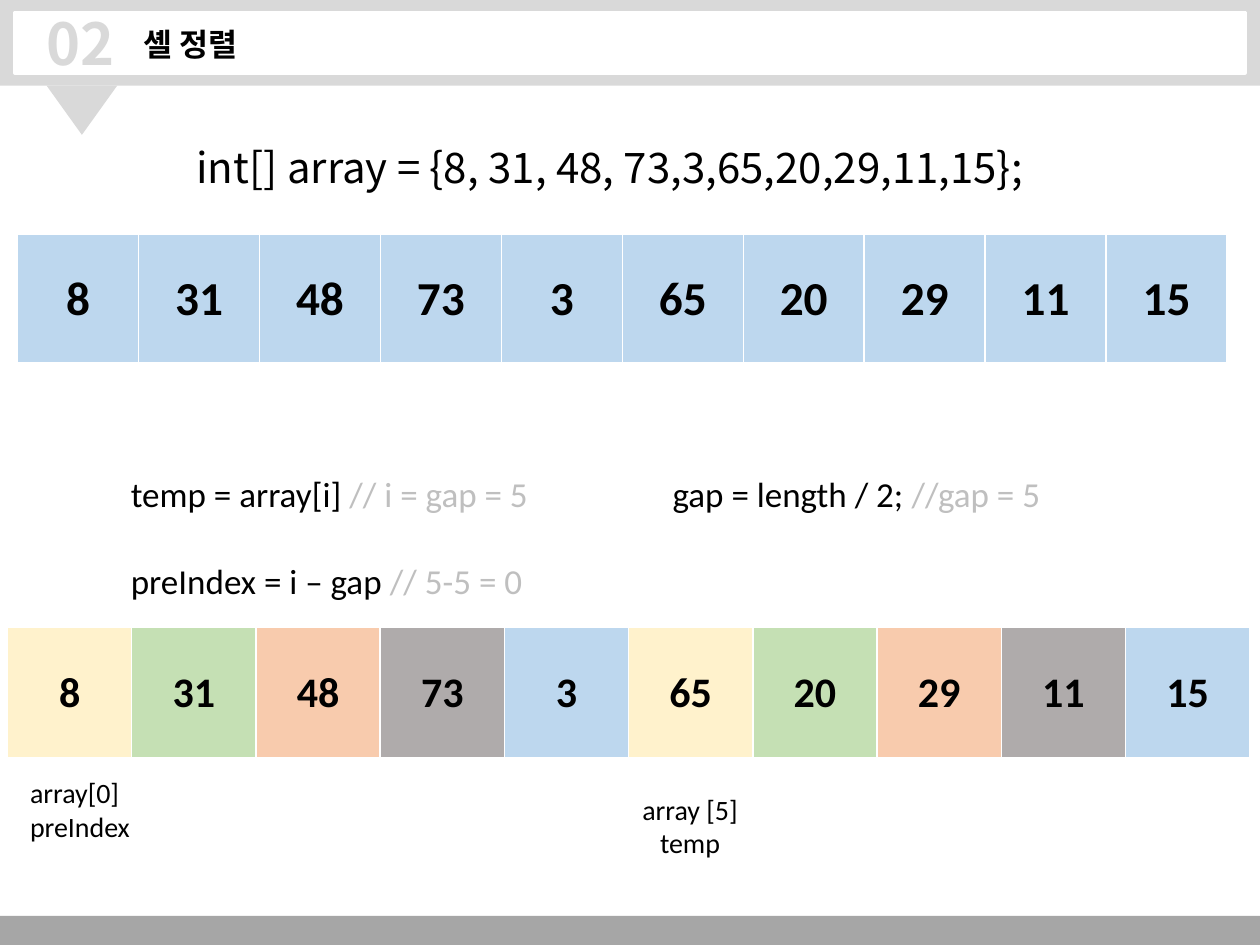
from lxml.etree import SubElement
from pptx import Presentation
from pptx.dml.color import RGBColor
from pptx.enum.shapes import MSO_SHAPE
from pptx.enum.text import MSO_ANCHOR, PP_ALIGN
from pptx.oxml.ns import qn
from pptx.util import Inches, Pt

COLS, ROWS = 100, 75
NOTO = "Noto Sans CJK KR"
BLUE = "BDD7EE"
GROUPS = ["FFF2CC", "C5E0B4", "F8CBAD", "AFABAB", BLUE]
NUMS = [8, 31, 48, 73, 3, 65, 20, 29, 11, 15]


def tint(code):
    return RGBColor.from_string(code)


def write(para, text, size=20, font="Calibri", color="000000", bold=False, align=None):
    if align is not None:
        para.alignment = align
    run = para.add_run()
    run.text = text
    run.font.size = Pt(size)
    run.font.name = font
    run.font.bold = bold
    run.font.color.rgb = tint(color)
    SubElement(run.font._element, qn("a:ea"), typeface=font)


class Deck:
    gray = "D9D9D9"
    note = "BFBFBF"
    white = "FFFFFF"

    def __init__(self):
        self.show = Presentation()
        self.show.slide_width = Inches(10)
        self.show.slide_height = Inches(7.5)
        self.page = self.show.slides.add_slide(self.show.slide_layouts[6])

    def area(self, col, row, wide, high):
        across = self.show.slide_width / COLS
        down = self.show.slide_height / ROWS
        return [round(n) for n in (col * across, row * down, wide * across, high * down)]

    def block(self, *spot, color=gray, kind=MSO_SHAPE.RECTANGLE, turn=0, line=None):
        shape = self.page.shapes.add_shape(kind, *self.area(*spot))
        shape.shadow.inherit = False
        shape.rotation = turn
        shape.fill.solid()
        shape.fill.fore_color.rgb = tint(color)
        if line:
            shape.line.color.rgb = tint(color)
            shape.line.width = Pt(line)
        else:
            shape.line.fill.background()

    def label(self, *spot, lines, wrap=True, **style):
        frame = self.page.shapes.add_textbox(*self.area(*spot)).text_frame
        frame.word_wrap = wrap
        for i, (text, align) in enumerate(lines):
            para = frame.add_paragraph() if i else frame.paragraphs[0]
            write(para, text, align=align, **style)
        return frame.paragraphs[0]

    def code(self, *spot, text, note):
        para = self.label(*spot, lines=[(text, None)])
        write(para, note, color=self.note)

    def edge(self, cell):
        props = cell._tc.get_or_add_tcPr()
        for side, width in zip("LRTB", (1, 1, 1, 3)):
            line = SubElement(props, qn(f"a:ln{side}"), w=str(Pt(width)))
            fill = SubElement(line, qn("a:solidFill"))
            SubElement(fill, qn("a:srgbClr"), val=self.white)

    def array(self, *spot, colors, size):
        table = self.page.shapes.add_table(1, len(NUMS), *self.area(*spot)).table
        table.first_row = table.horz_banding = False
        for i, num in enumerate(NUMS):
            cell = table.cell(0, i)
            cell.margin_left = cell.margin_right = Inches(0.08)
            cell.margin_top = cell.margin_bottom = Inches(0.04)
            cell.vertical_anchor = MSO_ANCHOR.MIDDLE
            self.edge(cell)
            cell.fill.solid()
            cell.fill.fore_color.rgb = tint(colors[i % len(colors)])
            write(cell.text_frame.paragraphs[0], str(num), size=size, bold=True,
                  align=PP_ALIGN.CENTER)


def main():
    deck = Deck()
    deck.block(0, 72.7, COLS, 2.3, color="A6A6A6")
    deck.block(0, 0, COLS, 6.8)
    deck.block(3.7, 6.8, 5.6, 3.9, kind=MSO_SHAPE.ISOSCELES_TRIANGLE, turn=180)
    deck.block(1.2, 1, 97.6, 4.8, color=deck.white, line=2)
    deck.label(10.4, 1.5, 15.8, 4, lines=[("셸 정렬", None)], size=18, font=NOTO, bold=True)
    deck.label(2.7, 0.1, 7.8, 6.6, lines=[("02", None)], wrap=False, size=33,
               font=NOTO, bold=True, color=deck.gray)
    deck.label(14.6, 10.7, 68, 9.1, wrap=False, size=24, font=NOTO,
               lines=[("int[] array = {8, 31, 48, 73,3,65,20,29,11,15};", None)])
    deck.array(1.4, 18.6, 96, 10.3, colors=[BLUE], size=27)
    deck.code(52.4, 37, 46, 4.4, text="gap = length / 2; ", note="//gap = 5")
    deck.code(9.4, 37, 42, 4.4, text="temp = array[i] ", note="// i = gap = 5")
    deck.code(9.4, 43.9, 42, 4.4, text="preIndex = i – gap ", note="// 5-5 = 0")
    deck.array(0.6, 49.8, 98.6, 10.5, colors=GROUPS, size=24)
    deck.label(50, 62.4, 9.7, 6.4, wrap=False, size=16,
               lines=[("array [5]", None), ("temp", PP_ALIGN.CENTER)])
    deck.label(1.4, 61.1, 11.2, 6.4, size=16,
               lines=[("array[0]", None), ("preIndex", None)])
    deck.show.save("out.pptx")


if __name__ == "__main__":
    main()
